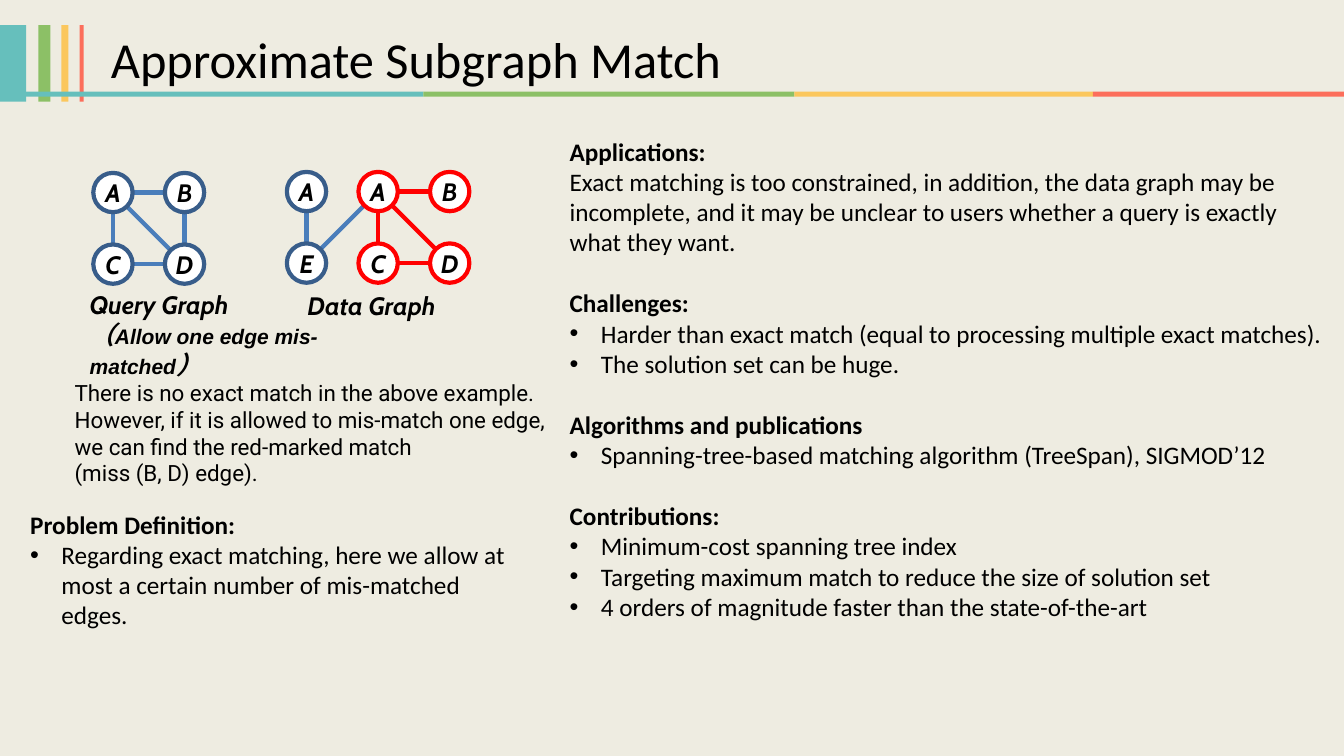
"""Build the Approximate Subgraph Match slide."""
from math import hypot

from lxml.etree import SubElement
from pptx import Presentation
from pptx.dml.color import RGBColor
from pptx.enum.shapes import MSO_CONNECTOR as Connector, MSO_SHAPE as Preset
from pptx.enum.text import MSO_ANCHOR as Anchor, PP_ALIGN as Align
from pptx.oxml.ns import qn
from pptx.util import Inches, Pt

COLORS = {
    "background": "EEECE1", "teal": "66BFBC", "green": "8CC066",
    "yellow": "FBC75D", "coral": "FC6E5B", "text": "000000",
    "node": "FFFFFF", "outline": "385D8A", "edge": "4A7EBB", "match": "FF0000",
}

TITLE = "Approximate Subgraph Match"
ACCENTS = ["teal", "green", "yellow", "coral"]
STRIPES = [(0, 0.26), (0.38, 0.12), (0.61, 0.07), (0.79, 0.04)]
RULE_STOPS = [0.01, 4.2, 7.88, 10.84, 13.33]

APPLICATIONS = [
    ("Applications:", [], "Exact matching is too constrained, in addition, the data graph may be "
     "incomplete, and it may be unclear to users whether a query is exactly what they want."),
    ("Challenges:",
     ["Harder than exact match (equal to processing multiple exact matches).",
      "The solution set can be huge."], ""),
    ("Algorithms and publications",
     ["Spanning-tree-based matching algorithm (TreeSpan), SIGMOD’12"], ""),
    ("Contributions:",
     ["Minimum-cost spanning tree index",
      "Targeting maximum match to reduce the size of solution set",
      "4 orders of magnitude faster than the state-of-the-art"], ""),
]
PROBLEM = [
    ("Problem Definition:",
     ["Regarding exact matching, here we allow at most a certain number of "
      "mis-matched edges."], ""),
]
EXAMPLE = [
    "There is no exact match in the above example.",
    "However, if it is allowed to mis-match one edge,",
    "we can find the red-marked match",
    "(miss (B, D) edge).",
]
CAPTION_NOTE = [("（", "Cabin", 18), ("Allow one edge mis-matched", "Arial", 15), ("）", "Cabin", 18)]

QUERY_GRAPH = {
    "center": (1.12, 1.91),
    "nodes": [("A", 0, 0), ("B", 1, 0), ("C", 0, 1), ("D", 1, 1)],
    "edges": [(0, 1), (0, 2), (0, 3), (1, 3), (2, 3)],
    "matched": set(),
}
DATA_GRAPH = {
    "center": (3.04, 1.9),
    "nodes": [("A", 0, 0), ("E", 0, 1), ("A", 1, 0), ("B", 2, 0), ("C", 1, 1), ("D", 2, 1)],
    "edges": [(0, 1), (1, 2), (2, 3), (2, 4), (2, 5), (4, 5)],
    "matched": {2, 3, 4, 5},
}
NODE_STEP, NODE_SIZE = 0.71, 0.39
BULLET_INDENT = 0.31

deck = Presentation()
deck.slide_width, deck.slide_height = Inches(13.33), Inches(7.5)
slide = deck.slides.add_slide(deck.slide_layouts[6])


def rgb(name):
    return RGBColor.from_string(COLORS[name])


def style(font, size, face, bold=False, italic=False):
    font.size, font.name, font.bold, font.italic = Pt(size), face, bold, italic
    font.color.rgb = rgb("text")


def add_shape(preset, left, top, width, height, fill):
    shape = slide.shapes.add_shape(preset, *map(Inches, (left, top, width, height)))
    shape.shadow.inherit = False
    shape.fill.solid()
    shape.fill.fore_color.rgb = rgb(fill)
    shape.line.fill.background()
    return shape


def add_text(left, top, width, height):
    frame = slide.shapes.add_textbox(*map(Inches, (left, top, width, height))).text_frame
    frame.word_wrap = True
    frame.margin_left = frame.margin_right = frame.margin_top = frame.margin_bottom = Inches(0.05)
    return frame


def add_lines(frame, lines, size, face, bold=False, italic=False):
    frame.text = "\n".join(lines)
    for paragraph in frame.paragraphs:
        style(paragraph.runs[0].font, size, face, bold, italic)


def add_bullet(paragraph):
    properties = paragraph._p.get_or_add_pPr()
    properties.set("marL", str(Inches(BULLET_INDENT)))
    properties.set("indent", str(-Inches(BULLET_INDENT)))
    SubElement(properties, qn("a:buFont")).set("typeface", "Arial")
    SubElement(properties, qn("a:buChar")).set("char", "•")


def add_sections(frame, sections):
    rows = []
    for heading, bullets, prose in sections:
        rows.append((heading, "heading"))
        rows += [(prose, "prose")] if prose else []
        rows += [(bullet, "bullet") for bullet in bullets]
    add_lines(frame, [words for words, _ in rows], 18, "Calibri")
    for index, (paragraph, (_, role)) in enumerate(zip(frame.paragraphs, rows)):
        if role == "bullet":
            add_bullet(paragraph)
        elif role == "heading":
            paragraph.runs[0].font.bold = True
            if index:
                paragraph.space_before = Pt(22)


def add_edge(start, end, color):
    (x1, y1), (x2, y2) = start, end
    share = NODE_SIZE / 2 / hypot(x2 - x1, y2 - y1)
    dx, dy = (x2 - x1) * share, (y2 - y1) * share
    edge = slide.shapes.add_connector(
        Connector.STRAIGHT, *map(Inches, (x1 + dx, y1 + dy, x2 - dx, y2 - dy)))
    edge.line.width = Pt(3)
    edge.line.color.rgb = rgb(color)
    SubElement(edge._element.spPr, qn("a:effectLst"))


def add_node(label, center, color):
    x, y = center
    node = add_shape(Preset.OVAL, x - NODE_SIZE / 2, y - NODE_SIZE / 2, NODE_SIZE, NODE_SIZE, "node")
    node.line.width = Pt(3)
    node.line.color.rgb = rgb(color)
    frame = node.text_frame
    frame.margin_left = frame.margin_right = frame.margin_top = frame.margin_bottom = 0
    frame.word_wrap = False
    frame.vertical_anchor = Anchor.MIDDLE
    add_lines(frame, [label], 18, "Cabin", True, True)
    frame.paragraphs[0].alignment = Align.CENTER


def add_graph(graph):
    x, y = graph["center"]
    centers = [(x + column * NODE_STEP, y + row * NODE_STEP) for _, column, row in graph["nodes"]]
    for start, end in graph["edges"]:
        both_matched = {start, end} <= graph["matched"]
        add_edge(centers[start], centers[end], "match" if both_matched else "edge")
    for index, (label, _, _) in enumerate(graph["nodes"]):
        add_node(label, centers[index], "match" if index in graph["matched"] else "outline")


slide.background.fill.solid()
slide.background.fill.fore_color.rgb = rgb("background")

for accent, (left, width) in zip(ACCENTS, STRIPES):
    add_shape(Preset.RECTANGLE, left, 0.25, width, 0.76, accent)
for accent, left, right in zip(ACCENTS, RULE_STOPS, RULE_STOPS[1:]):
    add_shape(Preset.RECTANGLE, left, 0.91, right - left, 0.05, accent)

add_lines(add_text(1.05, 0.23, 11.23, 0.71), [TITLE], 36, "Calibri")
add_sections(add_text(5.6, 1.3, 7.59, 5.25), APPLICATIONS)
add_sections(add_text(0.25, 5, 4.97, 1.31), PROBLEM)

add_graph(QUERY_GRAPH)
add_graph(DATA_GRAPH)

query_caption = add_text(0.84, 2.82, 3.34, 0.71)
add_lines(query_caption, ["Query Graph"], 18, "Cabin", True, True)
note = query_caption.add_paragraph()
for words, face, size in CAPTION_NOTE:
    run = note.add_run()
    run.text = words
    style(run.font, size, face, True, True)
add_lines(add_text(3, 2.83, 1.47, 0.4), ["Data Graph"], 18, "Cabin", True, True)
add_lines(add_text(0.69, 3.71, 4.85, 1.18), EXAMPLE, 16, "Roboto")

deck.save("out.pptx")
